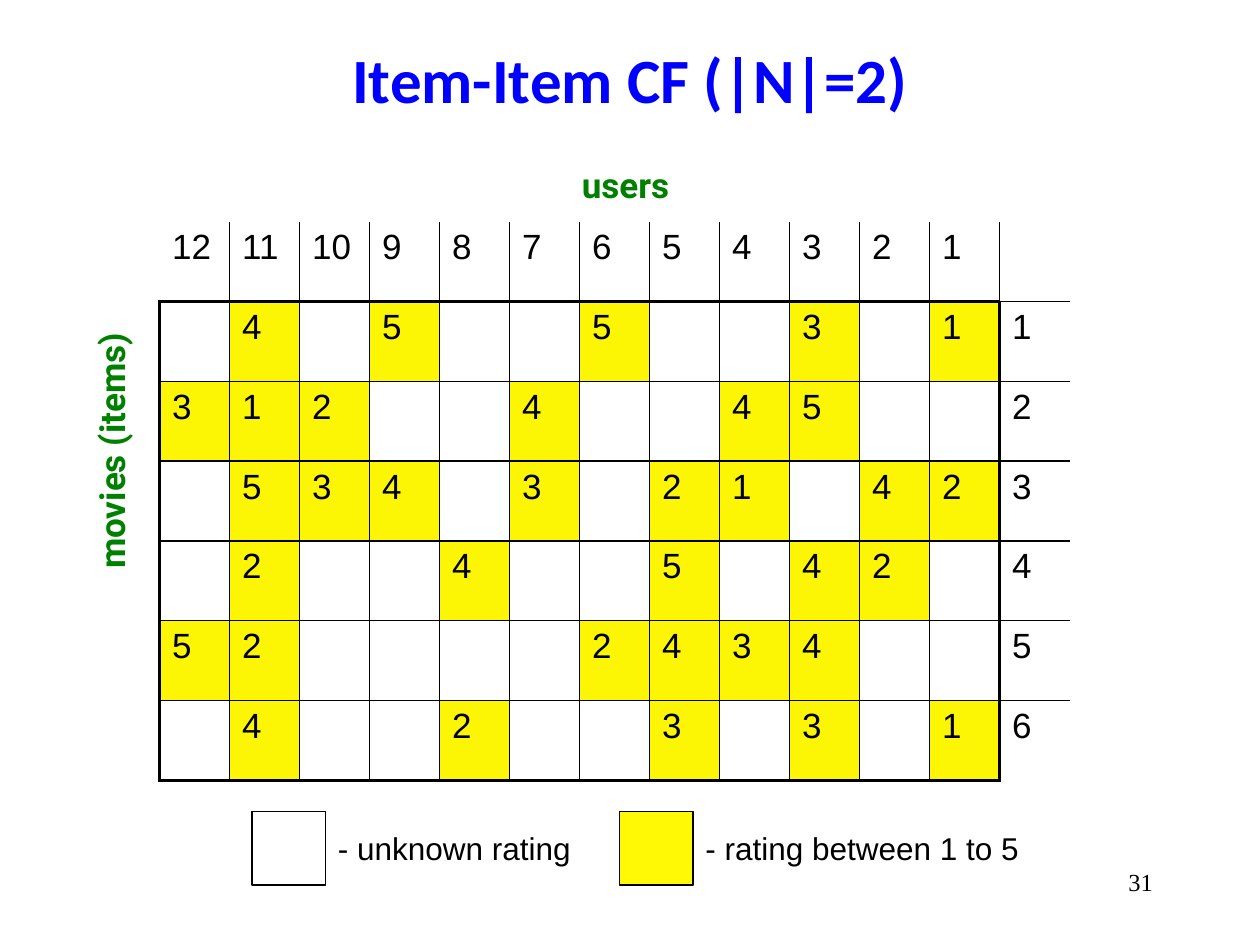
from dataclasses import dataclass

import pptx
import pptx.dml.color
import pptx.enum.shapes
import pptx.enum.text
import pptx.oxml
import pptx.oxml.ns
import pptx.util

Pt = pptx.util.Pt
RGB = pptx.dml.color.RGBColor.from_string
ALIGN = pptx.enum.text.PP_ALIGN
AUTO_SIZE = pptx.enum.text.MSO_AUTO_SIZE


@dataclass(frozen=True)
class TextStyle:
    font: str
    size: float
    color: str
    bold: bool = False


@dataclass(frozen=True)
class Theme:
    title = TextStyle("Calibri", 36, "0000FF", True)
    axis = TextStyle("Roboto", 20, "008000", True)
    cell = TextStyle("Arial", 20, "000000")
    legend = TextStyle("Arial", 18, "000000")
    page = TextStyle("Times New Roman", 14, "000000")
    ink = "000000"
    unknown = "FFFFFF"
    rated = "FCF604"
    rated_key = "FFF905"
    thin = 1
    thick = 2.25


THEME = Theme()

# One row per movie, one column per user from 12 down to 1; a dot is an unknown rating
RATINGS = [
    ".4.5..5..3.1",
    "312..4..45..",
    ".534.3.21.42",
    ".2..4..5.42.",
    "52....2434..",
    ".4..2..3.3.1",
]
MOVIES, USERS = len(RATINGS), len(RATINGS[0])
COLUMN_WIDTH, ROW_HEIGHT = 40, 45.6


def style_text(frame, style, align=ALIGN.LEFT):
    for paragraph in frame.paragraphs:
        paragraph.alignment = align
        for font in [paragraph.font] + [run.font for run in paragraph.runs]:
            font.name = style.font
            font.size = Pt(style.size)
            font.bold = style.bold
            font.color.rgb = RGB(style.color)


def add_title(slide, text):
    title = slide.shapes.title
    title.left, title.top, title.width, title.height = Pt(36), 0, Pt(648), Pt(90)
    title.text_frame.text = text
    title.text_frame.vertical_anchor = pptx.enum.text.MSO_ANCHOR.MIDDLE
    style_text(title.text_frame, THEME.title, ALIGN.CENTER)


def add_label(shapes, text, left, top, width, height, style,
              align=ALIGN.LEFT, rotation=0, grow=True):
    label = shapes.add_textbox(Pt(left), Pt(top), Pt(width), Pt(height))
    label.rotation = rotation
    frame = label.text_frame
    frame.word_wrap = True
    frame.auto_size = AUTO_SIZE.SHAPE_TO_FIT_TEXT if grow else AUTO_SIZE.NONE
    frame.text = text
    style_text(frame, style, align)


def vertical_edge(row, edge):
    """Line width left of column `edge`; 0 means no line."""
    if edge == 0:
        return THEME.thick if row else 0
    if edge == USERS:
        return THEME.thick if row else THEME.thin
    return THEME.thin if edge < USERS else 0


def horizontal_edge(edge, column):
    """Line width above row `edge`; 0 means no line."""
    if edge == 0:
        return 0
    if edge == 1:
        return THEME.thick if column < USERS else THEME.thin
    if edge == MOVIES + 1:
        return THEME.thick if column < USERS else 0
    return THEME.thin


def set_borders(cell, row, column):
    widths = {
        "lnL": vertical_edge(row, column),
        "lnR": vertical_edge(row, column + 1),
        "lnT": horizontal_edge(row, column),
        "lnB": horizontal_edge(row + 1, column),
    }
    properties = cell._tc.get_or_add_tcPr()
    for side, width in widths.items():
        paint = (f'<a:solidFill><a:srgbClr val="{THEME.ink}"/></a:solidFill>'
                 if width else "<a:noFill/>")
        properties.append(pptx.oxml.parse_xml(
            f'<a:{side} {pptx.oxml.ns.nsdecls("a")} w="{int(Pt(width))}">{paint}</a:{side}>'))


def add_rating_table(slide, left, top):
    user_row = [str(user) for user in range(USERS, 0, -1)] + [""]
    movie_rows = [list(ratings.replace(".", " ")) + [str(movie)]
                  for movie, ratings in enumerate(RATINGS, 1)]
    table = slide.shapes.add_table(
        MOVIES + 1, USERS + 1, Pt(left), Pt(top),
        Pt(COLUMN_WIDTH * (USERS + 1)), Pt(ROW_HEIGHT * (MOVIES + 1))).table
    table.first_row = table.horz_banding = False
    for column in table.columns:
        column.width = Pt(COLUMN_WIDTH)
    for row, values in enumerate([user_row] + movie_rows):
        table.rows[row].height = Pt(ROW_HEIGHT)
        for column, value in enumerate(values):
            cell = table.cell(row, column)
            cell.text_frame.text = value.strip()
            style_text(cell.text_frame, THEME.cell)
            set_borders(cell, row, column)
            if row and column < USERS and value.strip():
                cell.fill.solid()
                cell.fill.fore_color.rgb = RGB(THEME.rated)
            else:
                cell.fill.background()


def add_legend_entry(shapes, text, left, text_width, color):
    side, top = 42, 463.7
    key = shapes.add_shape(pptx.enum.shapes.MSO_SHAPE.RECTANGLE,
                           Pt(left), Pt(top), Pt(side), Pt(side))
    key.shadow.inherit = False
    key.fill.solid()
    key.fill.fore_color.rgb = RGB(color)
    key.line.color.rgb = RGB(THEME.ink)
    key.line.width = Pt(0.75)
    add_label(shapes, text, left + side, top + 6.5, text_width, 29, THEME.legend)


def main():
    deck = pptx.Presentation()
    deck.slide_width, deck.slide_height = Pt(720), Pt(540)
    slide = deck.slides.add_slide(deck.slide_layouts[5])
    add_title(slide, "Item-Item CF (|N|=2)")

    # Rating matrix with its axis names
    add_rating_table(slide, 91.2, 126.8)
    add_label(slide.shapes, "users", 325.4, 90, 85.7, 31.5, THEME.axis)
    add_label(slide.shapes, "movies (items)", -25.2, 227.5, 177.8, 31.5,
              THEME.axis, rotation=270)

    # Legend
    legend = slide.shapes.add_group_shape().shapes
    add_legend_entry(legend, "- unknown rating", 144, 156, THEME.unknown)
    add_legend_entry(legend, "- rating between 1 to 5", 354, 210, THEME.rated_key)

    # Page number
    add_label(slide.shapes, "31", 516, 492, 150, 36, THEME.page,
              align=ALIGN.RIGHT, grow=False)

    deck.save("out.pptx")


if __name__ == "__main__":
    main()
